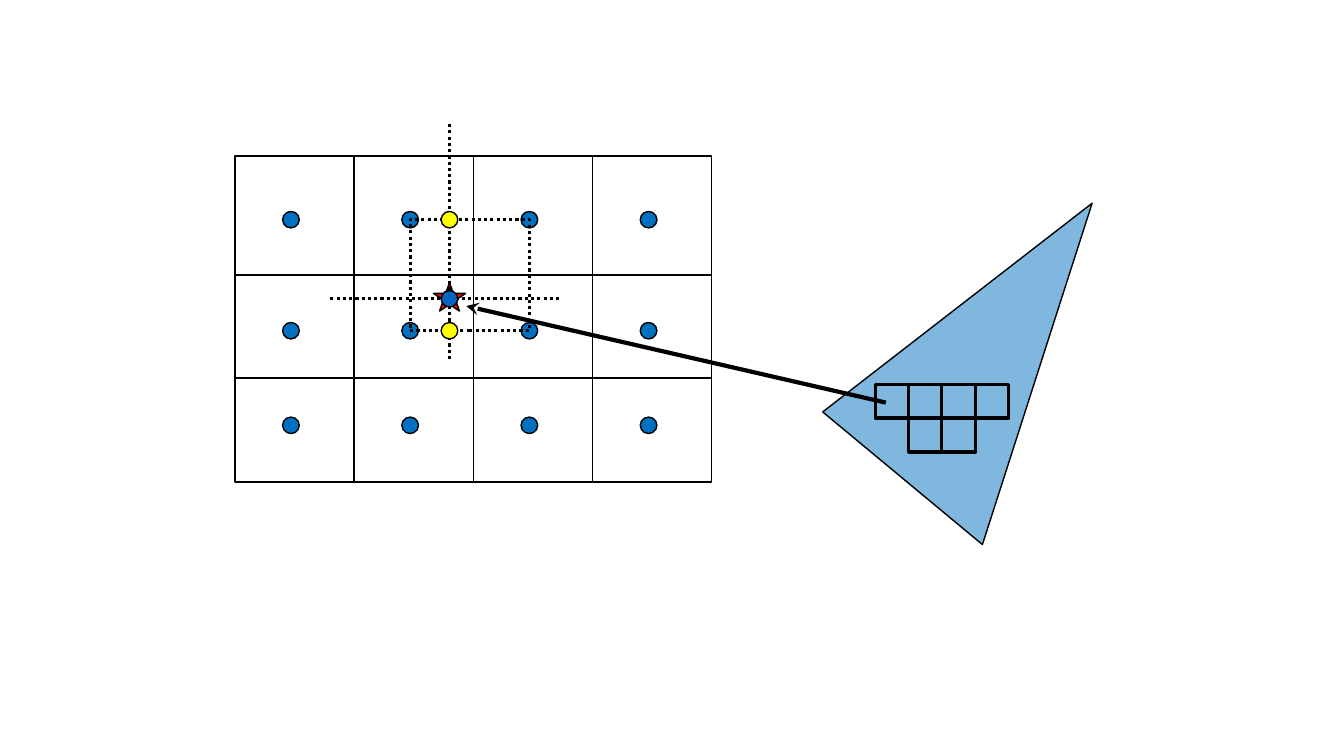
from dataclasses import dataclass
from itertools import product

import lxml.etree
import pptx
import pptx.dml.color
import pptx.enum.dml
import pptx.enum.shapes
import pptx.oxml.ns
import pptx.util

SLIDE_WIDTH, SLIDE_HEIGHT = 13.33, 7.5
GRID_LEFT, GRID_TOP = 2.33, 2.73
COLUMN_WIDTH, ROW_HEIGHT = 1.1825, 1.02
TABLE_TOP, TABLE_BOTTOM = -1.16, 2.01
COLUMN_COUNT = 4
CENTER_COLUMNS = [0.47 + column for column in range(COLUMN_COUNT)]
CENTER_ROWS = [0.54, 1.46, -0.54]
SAMPLE_COLUMN, SAMPLE_ROW = 1.8, 0.23
DOT_WIDTH, DOT_HEIGHT = 0.14, 0.16
PIXEL_LEFT, PIXEL_TOP = 5.37, 1.06
PIXEL_WIDTH, PIXEL_HEIGHT = 0.28, 0.33
PIXELS = [(1, 0), (2, 0), (0, 0), (3, 0), (1, 1), (2, 1)]
TRIANGLE = [(6.27, 2.62), (4.93, 1.33), (7.19, -0.7)]

BLACK, BLUE, YELLOW, RED, SAMPLE_BLUE = "000000", "0070C0", "FFFF01", "FF0000", "0563C1"
RECTANGLE = pptx.enum.shapes.MSO_SHAPE.RECTANGLE
ELLIPSE = pptx.enum.shapes.MSO_SHAPE.OVAL
STAR = pptx.enum.shapes.MSO_SHAPE.STAR_5_POINT
DOTTED = pptx.enum.dml.MSO_LINE.ROUND_DOT


@dataclass(frozen=True)
class Box:
    column: float
    row: float
    columns: float
    rows: float
    fill: str | None = None
    line_width: float = 1
    dotted: bool = False
    kind: pptx.enum.shapes.MSO_SHAPE = RECTANGLE


@dataclass(frozen=True)
class Segment:
    start: tuple[float, float]
    end: tuple[float, float]
    line_width: float = 2.25
    dotted: bool = True
    arrow: bool = False


def color(value: str) -> pptx.dml.color.RGBColor:
    return pptx.dml.color.RGBColor.from_string(value)


def position(column: float, row: float) -> tuple[int, int]:
    return (
        pptx.util.Inches(GRID_LEFT + column * COLUMN_WIDTH),
        pptx.util.Inches(GRID_TOP + row * ROW_HEIGHT),
    )


def style_line(line, width: float, dotted: bool) -> None:
    line.color.rgb = color(BLACK)
    line.width = pptx.util.Pt(width)
    if dotted:
        line.dash_style = DOTTED


def style_shape(shape, fill: str | None, line_width: float = 1, dotted: bool = False) -> None:
    shape.shadow.inherit = False
    if fill:
        shape.fill.solid()
        shape.fill.fore_color.rgb = color(fill)
    else:
        shape.fill.background()
    style_line(shape.line, line_width, dotted)


def draw_box(slide, box: Box) -> None:
    left, top = position(box.column, box.row)
    width = pptx.util.Inches(box.columns * COLUMN_WIDTH)
    height = pptx.util.Inches(box.rows * ROW_HEIGHT)
    shape = slide.shapes.add_shape(box.kind, left, top, width, height)
    style_shape(shape, box.fill, box.line_width, box.dotted)


def draw_segment(slide, segment: Segment) -> None:
    connector = slide.shapes.add_connector(
        pptx.enum.shapes.MSO_CONNECTOR.STRAIGHT,
        *position(*segment.start),
        *position(*segment.end),
    )
    style_line(connector.line, segment.line_width, segment.dotted)
    if segment.arrow:
        line = connector.line._get_or_add_ln()
        lxml.etree.SubElement(line, pptx.oxml.ns.qn("a:tailEnd"), type="stealth")
    lxml.etree.SubElement(connector._element.spPr, pptx.oxml.ns.qn("a:effectLst"))


def draw_triangle(slide) -> None:
    first, *others = [position(*corner) for corner in TRIANGLE]
    builder = slide.shapes.build_freeform(*first)
    builder.add_line_segments(others, close=True)
    triangle = builder.convert_to_shape()
    style_shape(triangle, BLUE)
    fill_color = triangle._element.spPr.find(".//" + pptx.oxml.ns.qn("a:srgbClr"))
    lxml.etree.SubElement(fill_color, pptx.oxml.ns.qn("a:alpha"), val="50000")


def dot(column: float, row: float, fill: str) -> Box:
    return Box(
        column - DOT_WIDTH / 2, row - DOT_HEIGHT / 2, DOT_WIDTH, DOT_HEIGHT, fill, kind=ELLIPSE
    )


def main() -> None:
    presentation = pptx.Presentation()
    presentation.slide_width = pptx.util.Inches(SLIDE_WIDTH)
    presentation.slide_height = pptx.util.Inches(SLIDE_HEIGHT)
    slide = presentation.slides.add_slide(presentation.slide_layouts[6])

    texel_columns = [
        Box(column, TABLE_TOP, 1, TABLE_BOTTOM - TABLE_TOP) for column in range(COLUMN_COUNT)
    ]
    middle_row = Box(0, 0, COLUMN_COUNT, 1)
    texel_centers = [dot(column, row, BLUE) for row, column in product(CENTER_ROWS, CENTER_COLUMNS)]
    star = Box(SAMPLE_COLUMN - 0.135, 0.07, 0.27, 0.28, RED, kind=STAR)
    for box in [*texel_columns, middle_row, *texel_centers, star]:
        draw_box(slide, box)

    draw_triangle(slide)
    for column, row in PIXELS:
        pixel_column = PIXEL_LEFT + column * PIXEL_WIDTH
        pixel_row = PIXEL_TOP + row * PIXEL_HEIGHT
        draw_box(slide, Box(pixel_column, pixel_row, PIXEL_WIDTH, PIXEL_HEIGHT, line_width=2.25))

    segments = [
        Segment((5.46, 1.24), (1.94, 0.3), line_width=3, dotted=False, arrow=True),
        Segment((SAMPLE_COLUMN, -1.47), (SAMPLE_COLUMN, 0.84)),
        Segment((0.8, SAMPLE_ROW), (2.73, SAMPLE_ROW)),
    ]
    for segment in segments:
        draw_segment(slide, segment)

    bottom, _, top = CENTER_ROWS
    draw_box(slide, Box(CENTER_COLUMNS[1], top, 1, bottom - top, line_width=2.25, dotted=True))
    for row, fill in [(top, YELLOW), (bottom, YELLOW), (SAMPLE_ROW, SAMPLE_BLUE)]:
        draw_box(slide, dot(SAMPLE_COLUMN, row, fill))

    presentation.save("out.pptx")


if __name__ == "__main__":
    main()
